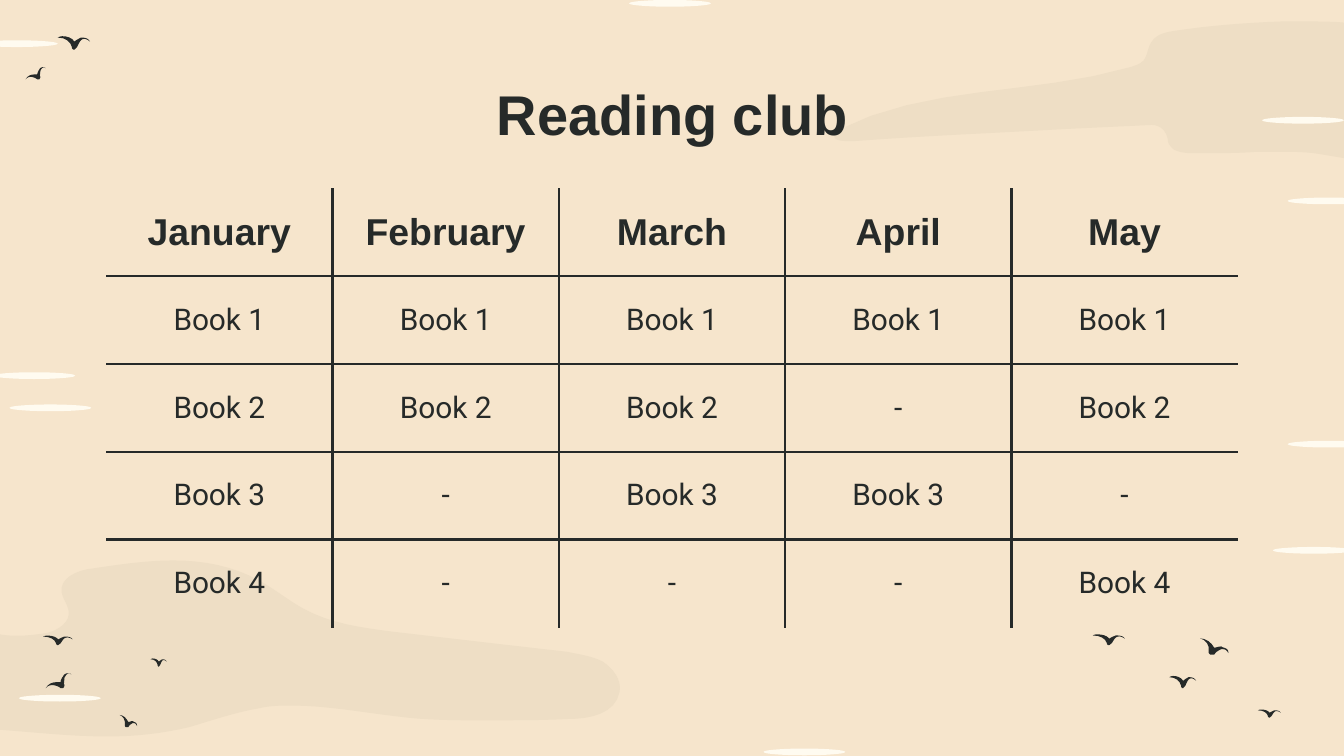
from lxml import etree
from pptx import Presentation
from pptx import util as u
from pptx.dml.color import RGBColor
from pptx.enum import shapes, text
from pptx.oxml import ns

SAND = RGBColor(0xF6, 0xE5, 0xCC)
DUNE = RGBColor(0xEE, 0xDE, 0xC5)
CREAM = RGBColor(0xFF, 0xFB, 0xF0)
INK = RGBColor(0x26, 0x2A, 0x29)

HEAD = dict(name="Arial", size=u.Pt(20), bold=True)
BODY = dict(name="Roboto", size=u.Pt(16), bold=False)
TITLE = dict(name="Arial", size=u.Pt(30), bold=True)

ROWS = [
    ["January", "February", "March", "April", "May"],
    ["Book 1"] * 5,
    ["Book 2", "Book 2", "Book 2", "-", "Book 2"],
    ["Book 3", "-", "Book 3", "Book 3", "-"],
    ["Book 4", "-", "-", "-", "Book 4"],
]

# Outlines: a start point, then three points for each Bézier curve
EAST = [
    (10.02, 1.18), (9.96, 1.17), (9.9, 1.16), (9.84, 1.15),
    (9.74, 1.13), (9.63, 1.13), (9.53, 1.13), (9.47, 1.13), (9.41, 1.13), (9.35, 1.13),
    (9.22, 1.14), (9.08, 1.14), (8.94, 1.14), (8.91, 1.14), (8.89, 1.14), (8.86, 1.14),
    (8.82, 1.14), (8.76, 1.13), (8.73, 1.11), (8.71, 1.09), (8.69, 1.07), (8.69, 1.04),
    (8.68, 0.98), (8.64, 0.93), (8.57, 0.93), (8.35, 0.94), (8.14, 0.95), (7.93, 0.96),
    (7.41, 0.99), (6.89, 1.01), (6.36, 1.05), (6.35, 1.05), (6.33, 1.05), (6.31, 1.05),
    (6.29, 1.05), (6.26, 1.05), (6.23, 1.04), (6.2, 1.03), (6.2, 0.99), (6.23, 0.97),
    (6.89, 0.63), (7.69, 0.71), (8.41, 0.5), (8.44, 0.49), (8.48, 0.48), (8.51, 0.45),
    (8.54, 0.41), (8.54, 0.35), (8.57, 0.31), (8.61, 0.25), (8.68, 0.24), (8.74, 0.23),
    (9, 0.19), (9.27, 0.17), (9.53, 0.16), (9.59, 0.16), (9.65, 0.16), (9.72, 0.16),
    (9.82, 0.16), (9.92, 0.16), (10.02, 0.17),
]
WEST = [
    (0, 5.43), (0.27, 5.45), (0.53, 5.48), (0.8, 5.48),
    (1, 5.48), (1.2, 5.46), (1.41, 5.41), (1.58, 5.36), (1.75, 5.3), (1.93, 5.27),
    (2.01, 5.25), (2.09, 5.25), (2.17, 5.25), (2.43, 5.25), (2.69, 5.3), (2.95, 5.33),
    (3.17, 5.36), (3.39, 5.36), (3.61, 5.36), (3.82, 5.36), (4.03, 5.36), (4.23, 5.35),
    (4.39, 5.35), (4.58, 5.31), (4.61, 5.15), (4.63, 5.06), (4.56, 4.97), (4.48, 4.92),
    (4.4, 4.88), (4.31, 4.87), (4.22, 4.85), (3.78, 4.8), (3.35, 4.75), (2.92, 4.7),
    (2.69, 4.67), (2.46, 4.64), (2.26, 4.53), (2.15, 4.47), (2.04, 4.38), (1.93, 4.32),
    (1.73, 4.21), (1.51, 4.17), (1.29, 4.17), (1.09, 4.17), (0.89, 4.2), (0.69, 4.23),
    (0.58, 4.24), (0.44, 4.3), (0.46, 4.41), (0.47, 4.46), (0.5, 4.49), (0.51, 4.54),
    (0.53, 4.63), (0.43, 4.69), (0.35, 4.71), (0.28, 4.72), (0.21, 4.73), (0.15, 4.73),
    (0.1, 4.73), (0.05, 4.73), (0, 4.72),
]
LEVEL = [
    (4, 0), (3, 0), (2, 0), (0, 1), (6, 1), (10, 4), (11, 8),
    (11, 9), (11, 9), (12, 10), (12, 10), (12, 10), (13, 10),
    (13, 10), (14, 9), (15, 8), (16, 6), (17, 4), (18, 3),
    (19, 2), (20, 2), (21, 2), (22, 2), (24, 3), (25, 4),
    (24, 2), (22, 1), (19, 1), (19, 1), (18, 1), (18, 1),
    (16, 2), (14, 3), (13, 4), (11, 1), (7, 0), (4, 0),
]
RISE = [
    (16, 0), (15, 0), (13, 1), (13, 2), (12, 3), (11, 5), (11, 6),
    (10, 6), (9, 6), (8, 6), (5, 6), (2, 7), (0, 10),
    (2, 8), (4, 8), (5, 8), (7, 8), (10, 9), (11, 10),
    (12, 10), (13, 10), (13, 10), (13, 10), (14, 9), (14, 8),
    (13, 7), (14, 5), (14, 3), (15, 1), (16, 0), (18, 0),
    (18, 0), (19, 1), (19, 1), (18, 0), (18, 0), (16, 0),
]
DIVE = [
    (0, 0), (4, 1), (7, 5), (6, 10), (6, 11), (6, 11), (7, 12),
    (8, 12), (9, 12), (10, 12), (11, 10), (13, 9), (15, 8),
    (15, 8), (15, 8), (16, 8), (18, 8), (19, 9), (20, 11),
    (20, 10), (20, 9), (19, 8), (18, 7), (16, 7), (15, 6),
    (13, 6), (11, 7), (10, 7), (8, 3), (4, 0), (0, 0),
]
# Outline, left, top, width, height
BIRDS = [
    (LEVEL, 9.36, 5.28, 0.17, 0.06), (LEVEL, 8.13, 4.72, 0.24, 0.08),
    (DIVE, 8.93, 4.75, 0.21, 0.12), (LEVEL, 8.7, 5.03, 0.2, 0.09),
    (RISE, 0.19, 0.5, 0.15, 0.09), (LEVEL, 0.43, 0.27, 0.24, 0.1),
    (LEVEL, 0.32, 4.73, 0.22, 0.07), (RISE, 0.34, 5.01, 0.19, 0.11),
    (DIVE, 0.89, 5.32, 0.13, 0.09), (LEVEL, 1.12, 4.9, 0.12, 0.06),
]
# Left and top of each ripple
WAVES = [
    (9.39, 0.87), (-0.18, 0.3), (9.58, 1.47), (4.68, 0), (-0.05, 2.77),
    (9.58, 3.28), (0.07, 3.01), (9.47, 4.07), (0.14, 5.17), (5.68, 5.57),
]


def paint(shape, color):
    shape.shadow.inherit = False
    shape.fill.solid()
    shape.fill.fore_color.rgb = color
    shape.line.fill.background()


def trace(nodes, steps=8):
    """Sample a chain of cubic Bézier curves."""
    dots = [nodes[0]]
    for i in range(0, len(nodes) - 1, 3):
        for k in range(1, steps + 1):
            t = k / steps
            mix = ((1 - t) ** 3, 3 * t * (1 - t) ** 2, 3 * t * t * (1 - t), t ** 3)
            dots.append(tuple(sum(m * p[a] for m, p in zip(mix, nodes[i:i + 4]))
                              for a in (0, 1)))
    return dots


def add_blob(slide, dots, color):
    pts = [(u.Inches(x), u.Inches(y)) for x, y in dots]
    pen = slide.shapes.build_freeform(*pts[0])
    pen.add_line_segments(pts[1:], close=True)
    paint(pen.convert_to_shape(), color)


def add_bird(slide, nodes, left, top, width, height):
    dots = trace(nodes, 4)
    wide, high = (max(axis) for axis in zip(*dots))
    add_blob(slide, [(left + x * width / wide, top + y * height / high)
                     for x, y in dots], INK)


def add_wave(slide, left, top):
    box = [u.Inches(n) for n in (left, top, 0.61, 0.05)]
    paint(slide.shapes.add_shape(shapes.MSO_SHAPE.OVAL, *box), CREAM)


def write(frame, words, style):
    frame.text = words
    para = frame.paragraphs[0]
    para.alignment = text.PP_ALIGN.CENTER
    for key, val in style.items():
        setattr(para.font, key, val)
    para.font.color.rgb = INK


def add_edge(cell, side, shown):
    props = cell._tc.get_or_add_tcPr()
    line = etree.SubElement(props, ns.qn("a:ln" + side), w=str(u.Pt(1.5)))
    if shown:
        fill = etree.SubElement(line, ns.qn("a:solidFill"))
        etree.SubElement(fill, ns.qn("a:srgbClr"), val=str(INK))
    else:
        etree.SubElement(line, ns.qn("a:noFill"))


def add_grid(slide):
    rows, cols = len(ROWS), len(ROWS[0])
    box = [u.Inches(n) for n in (0.79, 1.4, 8.42, 3.27)]
    grid = slide.shapes.add_table(rows, cols, *box).table
    for r, row in enumerate(ROWS):
        for c, words in enumerate(row):
            cell = grid.cell(r, c)
            write(cell.text_frame, words, BODY if r else HEAD)
            cell.vertical_anchor = text.MSO_ANCHOR.MIDDLE
            for side in ("left", "right", "top", "bottom"):
                setattr(cell, "margin_" + side, u.Inches(0.1))
            # Rules run only between cells
            inner = dict(L=c > 0, R=c < cols - 1, T=r > 0, B=r < rows - 1)
            for side, shown in inner.items():
                add_edge(cell, side, shown)
            cell.fill.background()


def set_title(slide, words):
    title = slide.shapes.title
    place = dict(left=0.79, top=0.49, width=8.43, height=0.63)
    for key, val in place.items():
        setattr(title, key, u.Inches(val))
    frame = title.text_frame
    for side in ("left", "right", "top", "bottom"):
        setattr(frame, "margin_" + side, u.Inches(0.1))
    frame.auto_size = text.MSO_AUTO_SIZE.NONE
    frame.vertical_anchor = text.MSO_ANCHOR.TOP
    write(frame, words, TITLE)
    slide.shapes._spTree.append(title._element)  # in front of the scenery


def main():
    deck = Presentation()
    deck.slide_width = u.Inches(10)
    deck.slide_height = deck.slide_width * 9 // 16
    slide = deck.slides.add_slide(deck.slide_layouts[5])
    slide.background.fill.solid()
    slide.background.fill.fore_color.rgb = SAND

    # Scenery
    for dune in (EAST, WEST):
        add_blob(slide, trace(dune), DUNE)
    for bird in BIRDS:
        add_bird(slide, *bird)
    for wave in WAVES:
        add_wave(slide, *wave)

    # Content
    set_title(slide, "Reading club")
    add_grid(slide)
    deck.save("out.pptx")


if __name__ == "__main__":
    main()
